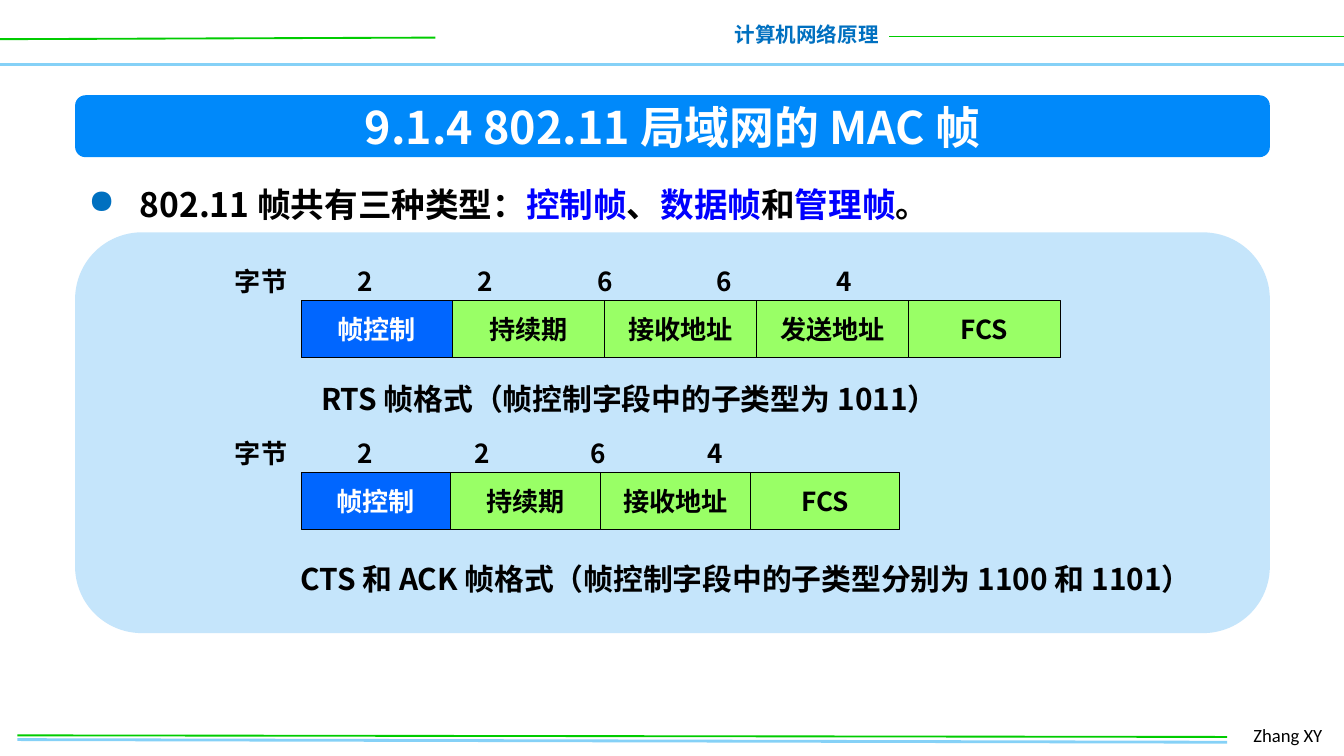
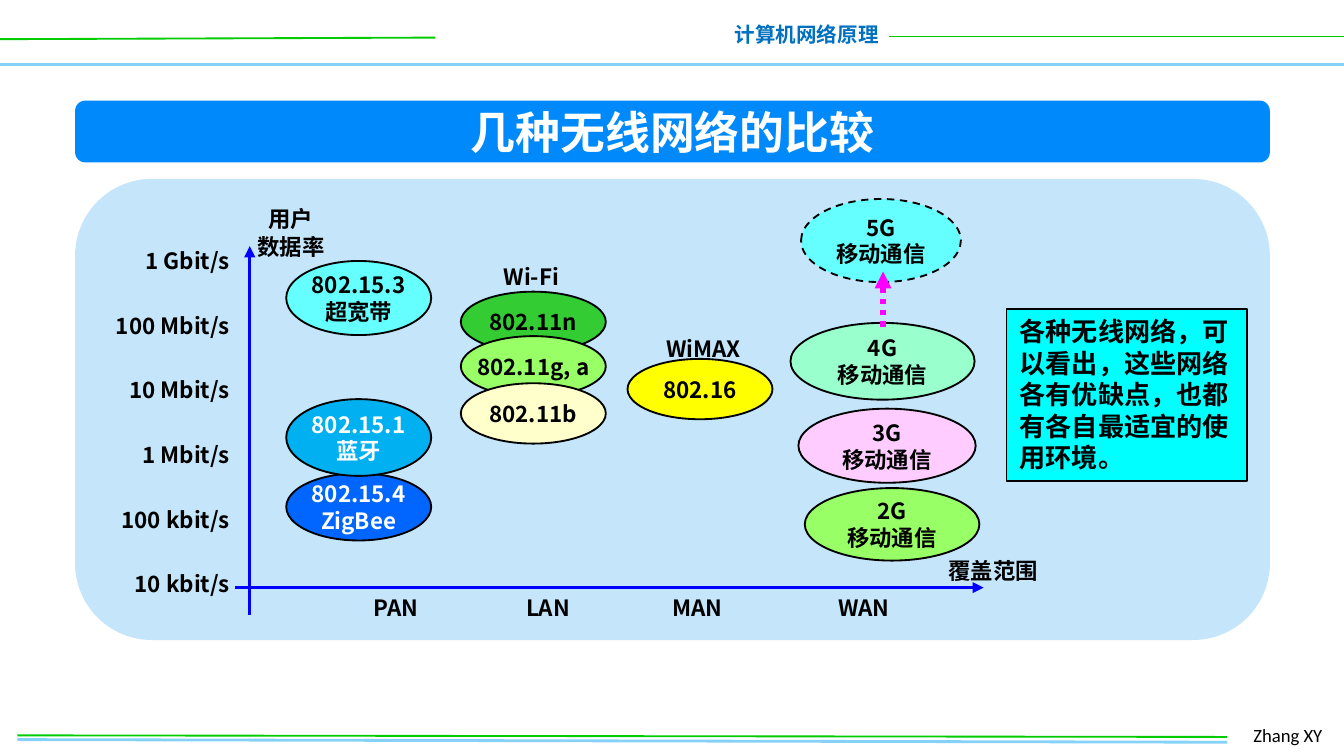
import pptx
import pptx.dml.color
import pptx.enum.dml
import pptx.enum.shapes
import pptx.enum.text
import pptx.oxml.ns
import pptx.util
import lxml.etree

Cm = pptx.util.Cm
Pt = pptx.util.Pt
SHAPE = pptx.enum.shapes.MSO_SHAPE
DASH = pptx.enum.dml.MSO_LINE
ALIGN = {"left": pptx.enum.text.PP_ALIGN.LEFT,
         "center": pptx.enum.text.PP_ALIGN.CENTER,
         "right": pptx.enum.text.PP_ALIGN.RIGHT}
FONT = "Noto Sans CJK SC"
COLORS = {
    "black": "000000", "white": "FFFFFF", "header": "0070C0",
    "sky_line": "85D1F7", "green_line": "00CC00", "band": "0089FA",
    "panel": "C5E5FB", "blue": "0000FF", "royal": "0066FF",
    "lime": "99FF66", "green": "33CC33", "cream": "FFFFCC",
    "yellow": "FFFF00", "azure": "00B0F0", "aqua": "66FFFF",
    "mint": "99FFCC", "pink": "FFCCFF", "cyan": "00FFFF",
    "magenta": "FF00FF",
}


def rgb(name):
    return pptx.dml.color.RGBColor.from_string(COLORS[name])


def add_xml(parent, tag, **attributes):
    return lxml.etree.SubElement(parent, pptx.oxml.ns.qn(tag), **attributes)


def within(box, left, top, width, height):
    """Turn a place inside a box into a place on the slide."""
    return box[0] + left, box[1] + top, width, height


# Text: each paragraph is a string or a list of (text, color) runs
def write(frame, paragraphs, size=14, color="black", bold=True, font=FONT,
          align="left", wrap=False, middle=False, spacing=None, before=0):
    frame.word_wrap = wrap
    anchor = pptx.enum.text.MSO_ANCHOR
    frame.vertical_anchor = anchor.MIDDLE if middle else anchor.TOP
    if isinstance(paragraphs, str):
        paragraphs = paragraphs.split("\n")
    for index, content in enumerate(paragraphs):
        paragraph = frame.add_paragraph() if index else frame.paragraphs[0]
        paragraph.alignment = ALIGN[align]
        if spacing:
            paragraph.line_spacing = spacing
        if index and before:
            paragraph.space_before = Pt(before)
        runs = [(content, color)] if isinstance(content, str) else content
        for text, run_color in runs:
            run = paragraph.add_run()
            run.text = text
            run.font.name = font
            run.font.size = Pt(size)
            run.font.bold = bold
            run.font.color.rgb = rgb(run_color)
            add_xml(run.font._element, "a:ea", typeface=font)


def add_text(slide, box, text, **text_format):
    shape = slide.shapes.add_textbox(*map(Cm, box))
    write(shape.text_frame, text, **text_format)
    return shape


def add_shape(slide, kind, box, fill, line=None, width=1, dash=None):
    shape = slide.shapes.add_shape(kind, *map(Cm, box))
    shape.shadow.inherit = False
    shape.fill.solid()
    shape.fill.fore_color.rgb = rgb(fill)
    if line:
        shape.line.color.rgb = rgb(line)
        shape.line.width = Pt(width)
        shape.line.dash_style = dash
    else:
        shape.line.fill.background()
    return shape


def add_line(slide, start, end, color, width, dash=None, arrow=False):
    connector = slide.shapes.add_connector(
        pptx.enum.shapes.MSO_CONNECTOR.STRAIGHT, *map(Cm, start + end))
    connector.line.color.rgb = rgb(color)
    connector.line.width = Pt(width)
    if dash:
        connector.line.dash_style = dash
    if arrow:
        add_xml(connector.line._get_or_add_ln(), "a:tailEnd", type="triangle")
    add_xml(connector._element.spPr, "a:effectLst")


# Shared header, footer, title band and panel
def add_header_and_footer(slide):
    add_line(slide, (0, 1.22), (25.4, 1.22), "sky_line", 2)
    add_line(slide, (0, 0.74), (8.23, 0.71), "green_line", 1)
    add_text(slide, (13.61, 0.3, 3.25, 0.74), "计算机网络原理",
             size=11, color="header", align="right")
    add_line(slide, (16.81, 0.69), (25.4, 0.69), "green_line", 1)
    add_line(slide, (0.33, 13.97), (23.19, 14.02), "sky_line", 1.5)
    add_text(slide, (23.44, 13.54, 1.96, 0.69), "Zhang XY",
             size=10, bold=False, font="Calibri", wrap=True)
    add_line(slide, (0.33, 13.89), (23.19, 13.92), "green_line", 1)


def add_title_band(slide, box, title, title_width):
    add_shape(slide, SHAPE.ROUNDED_RECTANGLE, box, "band")
    left = (box[2] - title_width) / 2
    add_text(slide, within(box, left, -0.05, title_width, 1.27), title,
             size=24, color="white", align="center")


def add_panel(slide, box):
    add_shape(slide, SHAPE.ROUNDED_RECTANGLE, box, "panel")


# Frame format: byte counts above a row of fields, with a caption below
def add_frame_format(slide, box, fields, field_width, byte_counts, byte_pitch,
                     caption, caption_box):
    add_text(slide, within(box, 0, 0, 1.5, 0.86), "字节")
    for index, count in enumerate(byte_counts):
        left = 2.32 + index * byte_pitch
        add_text(slide, within(box, left, 0, 0.8, 0.86), count, align="center")
    for index, field in enumerate(fields):
        place = within(box, 1.5 + index * field_width, 0.79, field_width, 1.09)
        cell = add_shape(slide, SHAPE.RECTANGLE, place,
                         "lime" if index else "royal", "black", 0.5)
        write(cell.text_frame, field, color="black" if index else "white",
              align="center", middle=True)
    add_text(slide, within(box, *caption_box), caption, size=16, wrap=True)


def add_bullet(slide, box, runs):
    shape = add_text(slide, box, [runs], size=18, wrap=True, spacing=Pt(27))
    properties = shape.text_frame.paragraphs[0]._p.get_or_add_pPr()
    properties.set("marL", str(Cm(0.97)))
    properties.set("indent", str(-Cm(0.97)))
    bullet_color = add_xml(properties, "a:buClr")
    add_xml(bullet_color, "a:srgbClr", val=COLORS["header"])
    add_xml(properties, "a:buChar", char="●")


def build_frame_slide(slide):
    add_header_and_footer(slide)
    add_title_band(slide, (1.42, 1.8, 22.58, 1.17),
                   "9.1.4 802.11 局域网的 MAC 帧", 13.08)
    add_bullet(slide, (1.42, 3.15, 22.99, 1.14), [
        ("802.11 帧共有三种类型：", "black"), ("控制帧", "blue"),
        ("、", "black"), ("数据帧", "blue"), ("和", "black"),
        ("管理帧", "blue"), ("。", "black")])
    panel = (1.42, 4.39, 22.58, 7.57)
    add_panel(slide, panel)
    add_frame_format(
        slide, within(panel, 2.77, 0.49, 15.9, 3.12),
        ["帧控制", "持续期", "接收地址", "发送地址", "FCS"], 2.87,
        "22664", 2.26,
        "RTS 帧格式（帧控制字段中的子类型为 1011）", (1.63, 2.18, 13.28, 0.94))
    add_frame_format(
        slide, within(panel, 2.77, 3.74, 18.66, 3.28),
        ["帧控制", "持续期", "接收地址", "FCS"], 2.83,
        "2264", 2.2,
        "CTS 和 ACK 帧格式（帧控制字段中的子类型分别为 1100 和 1101）",
        (1.24, 2.34, 17.42, 0.94))


# Comparison chart: places are relative to the panel
NETWORKS = [
    # text, left, top, width, height, fill, text color, dash
    ("802.11n", 7.29, 2.13, 2.74, 1.14, "green", "black", None),
    ("802.15.4\nZigBee", 3.99, 5.56, 2.74, 1.27, "royal", "white", None),
    ("802.15.1\n蓝牙", 3.99, 4.16, 2.74, 1.45, "azure", "white", None),
    ("802.15.3\n超宽带", 3.99, 1.55, 2.74, 1.4, "aqua", "black", None),
    ("802.11g, a", 7.29, 2.97, 2.74, 1.14, "lime", "black", None),
    ("802.11b", 7.29, 3.86, 2.74, 1.14, "cream", "black", None),
    ("802.16", 10.44, 3.4, 2.74, 1.14, "yellow", "black", None),
    ("2G\n移动通信", 13.79, 5.84, 3.3, 1.37, "lime", "black", None),
    ("3G\n移动通信", 13.67, 4.34, 3.35, 1.4, "pink", "black", None),
    ("4G\n移动通信", 13.52, 2.72, 3.48, 1.45, "mint", "black", None),
    ("5G\n移动通信", 13.72, 0.38, 3.02, 1.57, "aqua", "black", DASH.DASH),
]
RATES = ["1 Gbit/s", "100 Mbit/s", "10 Mbit/s", "1 Mbit/s", "100 kbit/s",
         "10 kbit/s"]
RANGES = {"PAN": 6.07, "LAN": 8.94, "MAN": 11.76, "WAN": 14.91}


def add_axes(slide, box):
    def point(x, y):
        return box[0] + x, box[1] + y

    add_line(slide, point(3.03, 7.72), point(17.17, 7.72), "blue", 1.5,
             arrow=True)
    add_line(slide, point(3.3, 8.23), point(3.3, 1.27), "blue", 1.5,
             arrow=True)
    add_text(slide, within(box, 0.31, 1.07, 2.87, 7.65), RATES, size=12,
             align="right", spacing=1.2, before=17.3)
    add_text(slide, within(box, 3.18, 0.35, 1.8, 1.37), "用户\n数据率",
             size=12, align="center", spacing=1.05)
    labels = [(name, center - 0.8, 7.62, 1.6)
              for name, center in RANGES.items()]
    labels += [("覆盖范围", 16.23, 6.91, 2.24),
               ("Wi-Fi", 7.8, 1.37, 1.65), ("WiMAX", 10.8, 2.72, 2.16)]
    for text, left, top, width in labels:
        add_text(slide, within(box, left, top, width, 0.84), text, size=12,
                 align="center", spacing=1.2)


def add_networks(slide, box):
    for text, left, top, width, height, fill, color, dash in NETWORKS:
        ellipse = add_shape(slide, SHAPE.OVAL,
                            within(box, left, top, width, height),
                            fill, "black", 1, dash)
        write(ellipse.text_frame, text, size=12, color=color,
              align="center", middle=True)
    x = box[0] + 15.27
    add_line(slide, (x, box[1] + 2.79), (x, box[1] + 1.75), "magenta", 3,
             dash=DASH.ROUND_DOT, arrow=True)


def build_comparison_slide(slide):
    add_header_and_footer(slide)
    panel = (1.42, 3.38, 22.58, 8.71)
    add_panel(slide, panel)
    add_title_band(slide, (1.42, 1.9, 22.58, 1.17), "几种无线网络的比较", 8.2)
    note = add_shape(slide, SHAPE.RECTANGLE,
                     within(panel, 17.6, 2.46, 4.55, 3.25),
                     "cyan", "black", 0.75)
    write(note.text_frame,
          "各种无线网络，可以看出，这些网络各有优缺点，也都有各自最适宜的使用环境。",
          wrap=True)
    add_axes(slide, panel)
    add_networks(slide, panel)


def main():
    presentation = pptx.Presentation()
    presentation.slide_width = Cm(25.4)
    presentation.slide_height = Cm(14.28)
    for build in (build_frame_slide, build_comparison_slide):
        build(presentation.slides.add_slide(presentation.slide_layouts[6]))
    presentation.save("out.pptx")


if __name__ == "__main__":
    main()
